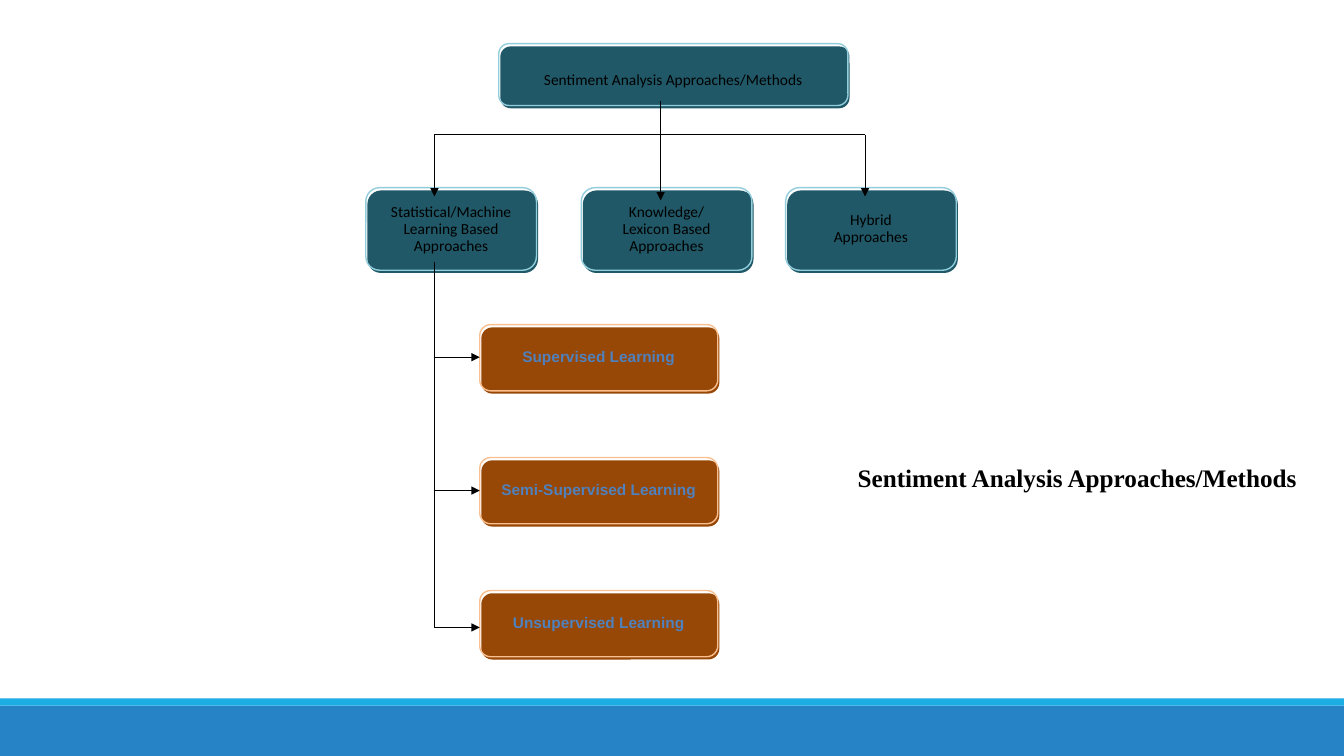
from lxml.etree import SubElement
from pptx import Presentation
from pptx.dml.color import RGBColor
from pptx.enum.shapes import MSO_CONNECTOR, MSO_SHAPE
from pptx.enum.text import MSO_ANCHOR, MSO_AUTO_SIZE, PP_ALIGN
from pptx.oxml.ns import qn
from pptx.util import Cm, Pt

BLACK = RGBColor(0x00, 0x00, 0x00)
TEAL = RGBColor(0x20, 0x58, 0x67)
AQUA = RGBColor(0x92, 0xCD, 0xDC)
BROWN = RGBColor(0x97, 0x47, 0x06)
PEACH = RGBColor(0xFA, 0xBF, 0x8F)
BLUE = RGBColor(0x4F, 0x81, 0xBD)
BAND = RGBColor(0x26, 0x83, 0xC6)
STRIPE = RGBColor(0x1C, 0xAD, 0xE4)

WIDTH, HEIGHT = 33.87, 19.05


class Chart:
    def __init__(self, deck):
        self.slide = deck.slides.add_slide(deck.slide_layouts[5])
        self.shapes = self.slide.shapes

    def font(self, para, name, size, color, bold=False):
        para.font.name = name
        para.font.size = Pt(size)
        para.font.bold = bold
        para.font.color.rgb = color

    def title(self, text, left, top, width, height):
        title = self.shapes.title
        title.left, title.top = Cm(left), Cm(top)
        title.width, title.height = Cm(width), Cm(height)
        frame = title.text_frame
        frame.text = text
        frame.word_wrap = False
        frame.auto_size = MSO_AUTO_SIZE.NONE
        frame.vertical_anchor = MSO_ANCHOR.MIDDLE
        para = frame.paragraphs[0]
        para.alignment = PP_ALIGN.LEFT
        self.font(para, "Times New Roman", 18, BLACK, True)

    def shape(self, kind, left, top, width, height, fill=None, line=None):
        shape = self.shapes.add_shape(
            kind, Cm(left), Cm(top), Cm(width), Cm(height))
        shape.shadow.inherit = False
        if fill is None:
            shape.fill.background()
        else:
            shape.fill.solid()
            shape.fill.fore_color.rgb = fill
        if line is None:
            shape.line.fill.background()
        else:
            shape.line.color.rgb = line
            shape.line.width = Pt(1)
        return shape

    def box(self, text, left, top, width, height, fill, rim,
            face="Calibri", color=BLACK, bold=False, drop=0):
        kind = MSO_SHAPE.ROUNDED_RECTANGLE
        self.shape(kind, left + 0.04, top + 0.07, width, height, fill=fill)
        frame = self.shape(kind, left, top, width, height, line=rim).text_frame
        frame.text = text
        frame.word_wrap = True
        frame.vertical_anchor = MSO_ANCHOR.MIDDLE
        frame.margin_left = frame.margin_right = frame.margin_bottom = 0
        frame.margin_top = Cm(drop)
        for para in frame.paragraphs:
            para.alignment = PP_ALIGN.CENTER
            para.line_spacing = Pt(12)
            self.font(para, face, 11, color, bold)

    def line(self, x1, y1, x2, y2, arrow=True):
        line = self.shapes.add_connector(
            MSO_CONNECTOR.STRAIGHT, Cm(x1), Cm(y1), Cm(x2), Cm(y2))
        line.line.color.rgb = BLACK
        line.line.width = Pt(0.75)
        props = line._element.spPr
        if arrow:
            SubElement(props.find(qn("a:ln")), qn("a:tailEnd"), type="triangle")
        SubElement(props, qn("a:effectLst"))


def main():
    deck = Presentation()
    deck.slide_width, deck.slide_height = Cm(WIDTH), Cm(HEIGHT)
    chart = Chart(deck)
    heading = "Sentiment Analysis Approaches/Methods"

    chart.shape(MSO_SHAPE.RECTANGLE, 0, 17.78, WIDTH, 1.27, BAND)
    chart.shape(MSO_SHAPE.RECTANGLE, 0, 17.6, WIDTH, 0.18, STRIPE)

    chart.box(heading, 12.57, 1.1, 8.8, 1.56, TEAL, AQUA, drop=0.3)
    groups = [
        ("Statistical/Machine\nLearning Based\nApproaches", 9.22),
        ("Knowledge/\nLexicon Based\nApproaches", 14.65),
        ("Hybrid\nApproaches", 19.8),
    ]
    for text, left in groups:
        chart.box(text, left, 4.73, 4.3, 2.08, TEAL, AQUA)

    kinds = ["Supervised", "Semi-Supervised", "Unsupervised"]
    for row, kind in enumerate(kinds):
        chart.box(f"{kind} Learning", 12.09, 8.18 + 3.35 * row, 6, 1.67,
                  BROWN, PEACH, "Arial", BLUE, True)

    trunk, mid, right, bar = 10.95, 16.65, 21.8, 3.4
    chart.line(mid, 2.54, mid, 5.05)
    chart.line(trunk, bar, right, bar, arrow=False)
    for x in (trunk, right):
        chart.line(x, bar, x, 4.95)
    levels = (9, 12.36, 15.81)
    chart.line(trunk, 6.6, trunk, levels[-1], arrow=False)
    for y in levels:
        chart.line(trunk, y, 12.09, y)

    chart.title(heading, 21.36, 11.53, 11.84, 1.02)
    deck.save("out.pptx")


if __name__ == "__main__":
    main()
